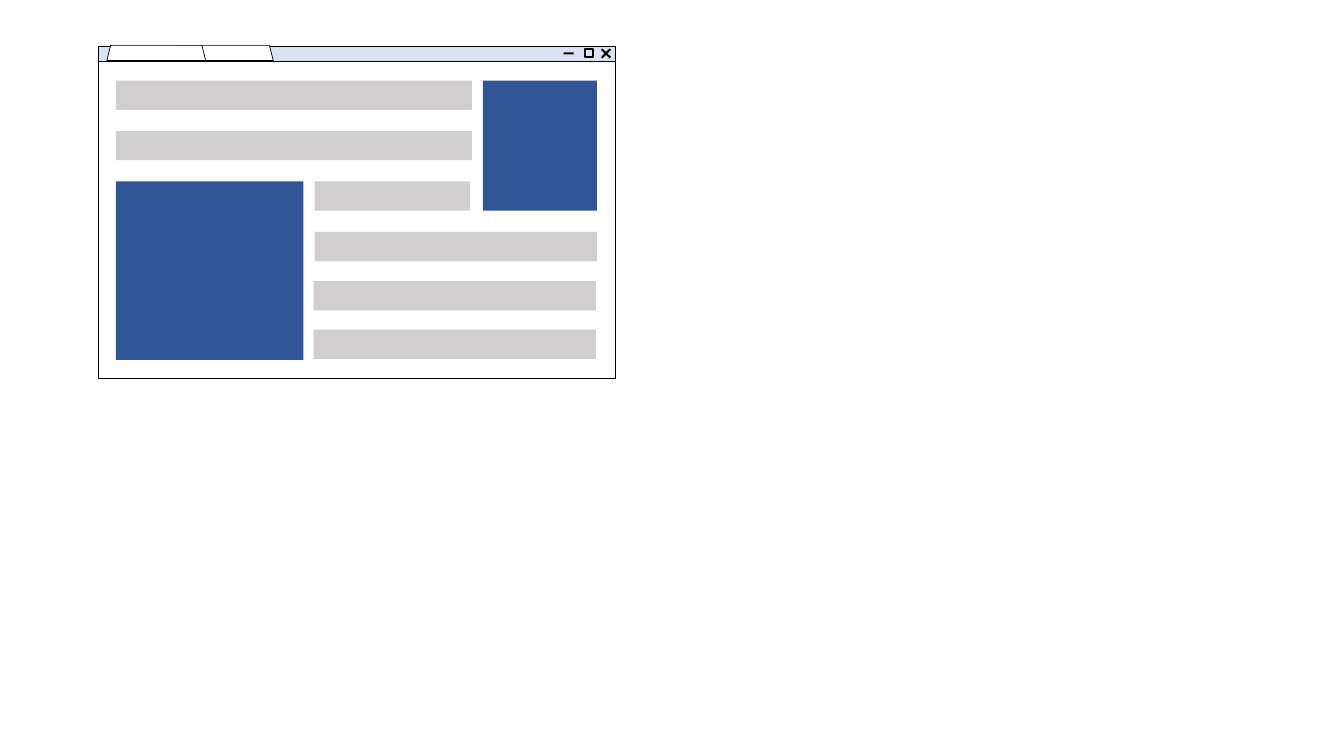
from pptx import Presentation
from pptx.dml.color import RGBColor
from pptx.enum.shapes import MSO_SHAPE
from pptx.util import Inches, Pt

RECTANGLE = MSO_SHAPE.RECTANGLE
TRAPEZOID = MSO_SHAPE.TRAPEZOID

BLACK, WHITE = "000000", "FFFFFF"
TITLE_BAR_BLUE, IMAGE_BLUE, TEXT_GREY = "DAE3F3", "2F5597", "D0CECE"

# Boxes are left, top, width, height in inches.
TITLE_BAR = (0.98, 0.46, 5.12, 0.21)
PAGE = (0.98, 0.61, 5.12, 3.14)
IMAGE_BLOCKS = [(4.79, 0.8, 1.13, 1.29), (1.15, 1.8, 1.86, 1.77)]

# Text bars share one height: left, top, width.
TEXT_BAR_HEIGHT = 0.29
TEXT_BARS = [
    (1.15, 0.8, 3.53),
    (1.15, 1.3, 3.53),
    (3.12, 1.8, 1.54),
    (3.12, 2.3, 2.8),
    (3.11, 2.79, 2.8),
    (3.11, 3.27, 2.8),
]

TAB_TOP, TAB_WIDTH, TAB_HEIGHT = 0.45, 0.98, 0.15
BACK_TAB_LEFT, FRONT_TAB_LEFT = 1.73, 1.06

MINIMIZE = (5.59, 0.52, 0.1, 0.02)
MAXIMIZE = (5.8, 0.49, 0.08, 0.08)
CLOSE_STROKE = (5.95, 0.52, 0.12, 0.02)
CLOSE_ANGLES = (135, 45)


def color(value):
    return RGBColor.from_string(value)


def add_block(shapes, box, fill=None, line_width=None, kind=RECTANGLE, rotation=0):
    """Add a shape; no fill or line width leaves that part undrawn."""
    shape = shapes.add_shape(kind, *map(Inches, box))
    shape.shadow.inherit = False
    shape.rotation = rotation
    if fill:
        shape.fill.solid()
        shape.fill.fore_color.rgb = color(fill)
    else:
        shape.fill.background()
    if line_width:
        shape.line.color.rgb = color(BLACK)
        shape.line.width = Pt(line_width)
    else:
        shape.line.fill.background()
    return shape


def add_tab(shapes, left):
    box = (left, TAB_TOP, TAB_WIDTH, TAB_HEIGHT)
    add_block(shapes, box, WHITE, 0.5, TRAPEZOID)


def add_browser_window(slide):
    shapes = slide.shapes.add_group_shape().shapes
    add_block(shapes, TITLE_BAR, TITLE_BAR_BLUE, 0.5)
    add_block(shapes, PAGE, WHITE, 0.5)
    add_block(shapes, MINIMIZE, BLACK)
    add_tab(shapes, BACK_TAB_LEFT)
    for box in IMAGE_BLOCKS:
        add_block(shapes, box, IMAGE_BLUE)
    for bar in TEXT_BARS:
        add_block(shapes, (*bar, TEXT_BAR_HEIGHT), TEXT_GREY)
    add_tab(shapes, FRONT_TAB_LEFT)
    add_block(shapes, MAXIMIZE, line_width=1.5)
    for angle in CLOSE_ANGLES:
        add_block(shapes, CLOSE_STROKE, BLACK, rotation=angle)


def main():
    presentation = Presentation()
    presentation.slide_width = Inches(13.33)
    presentation.slide_height = Inches(7.5)
    blank_layout = presentation.slide_layouts.get_by_name("Blank")
    slide = presentation.slides.add_slide(blank_layout)
    add_browser_window(slide)
    presentation.save("out.pptx")


if __name__ == "__main__":
    main()
